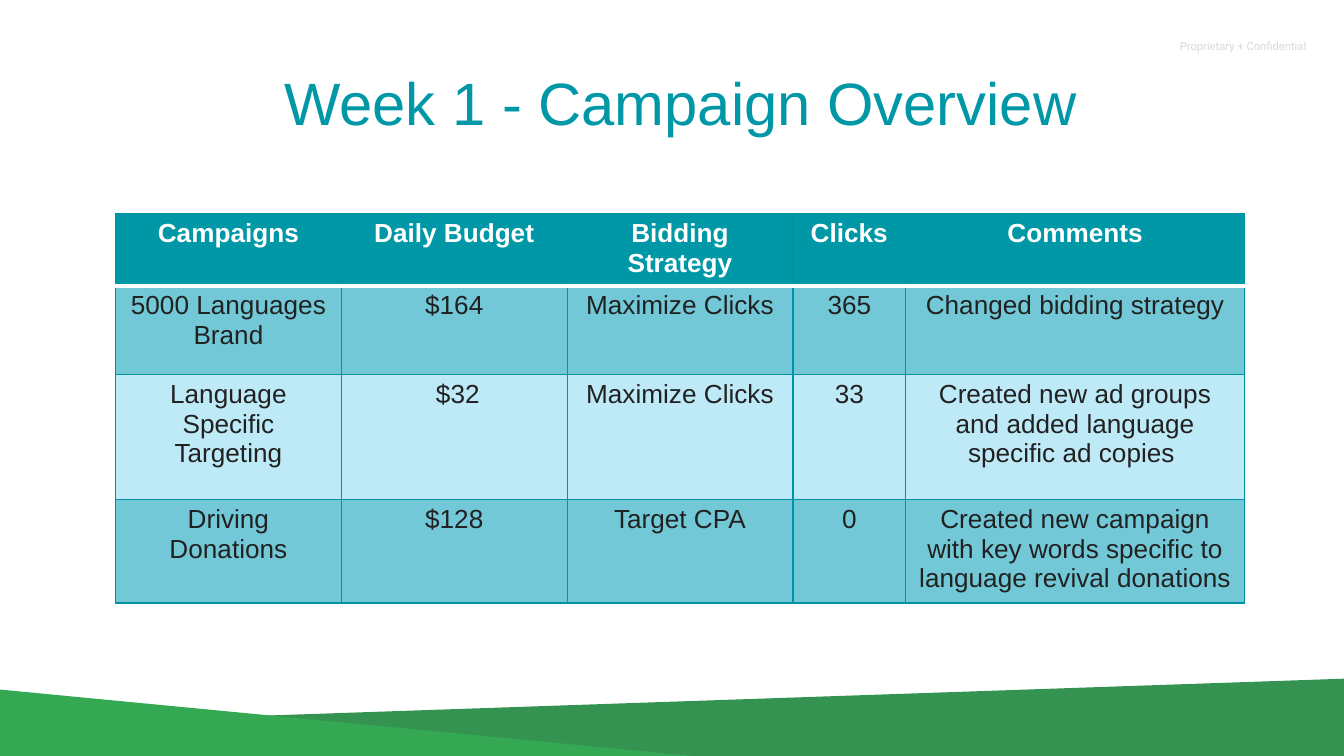
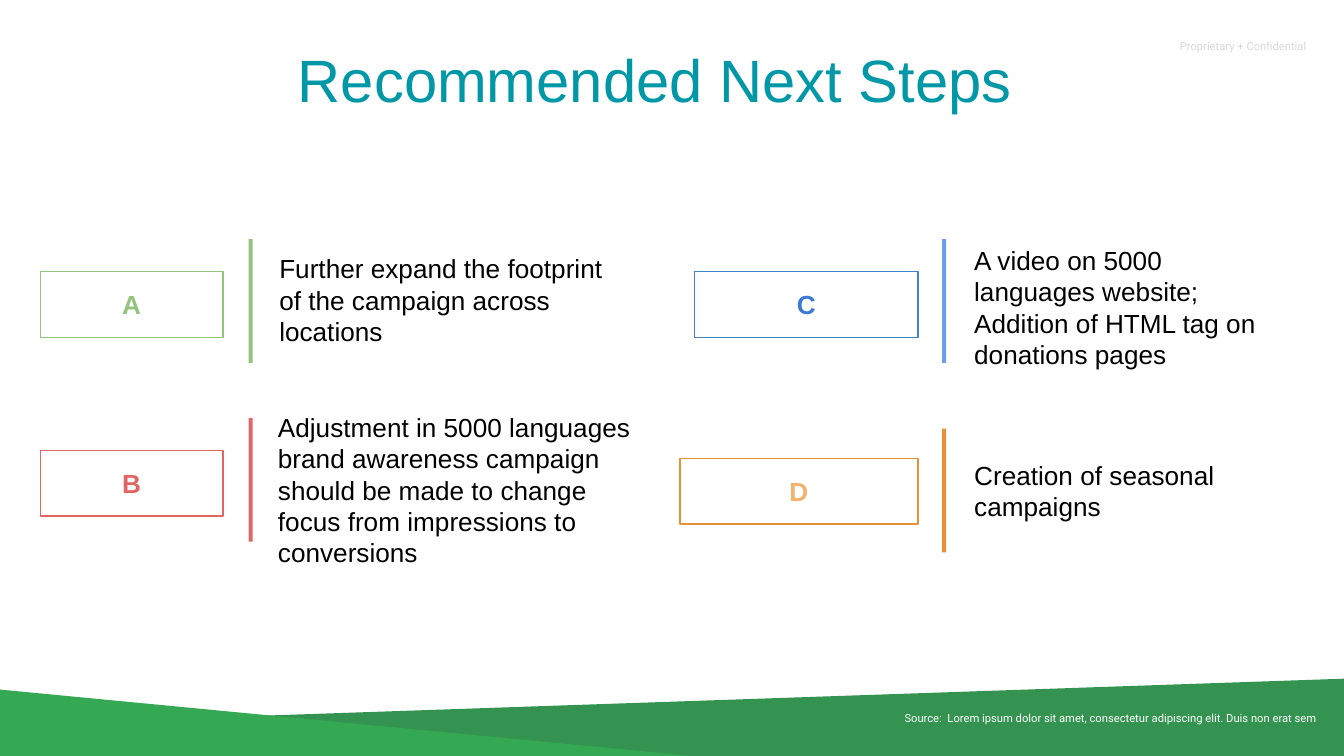
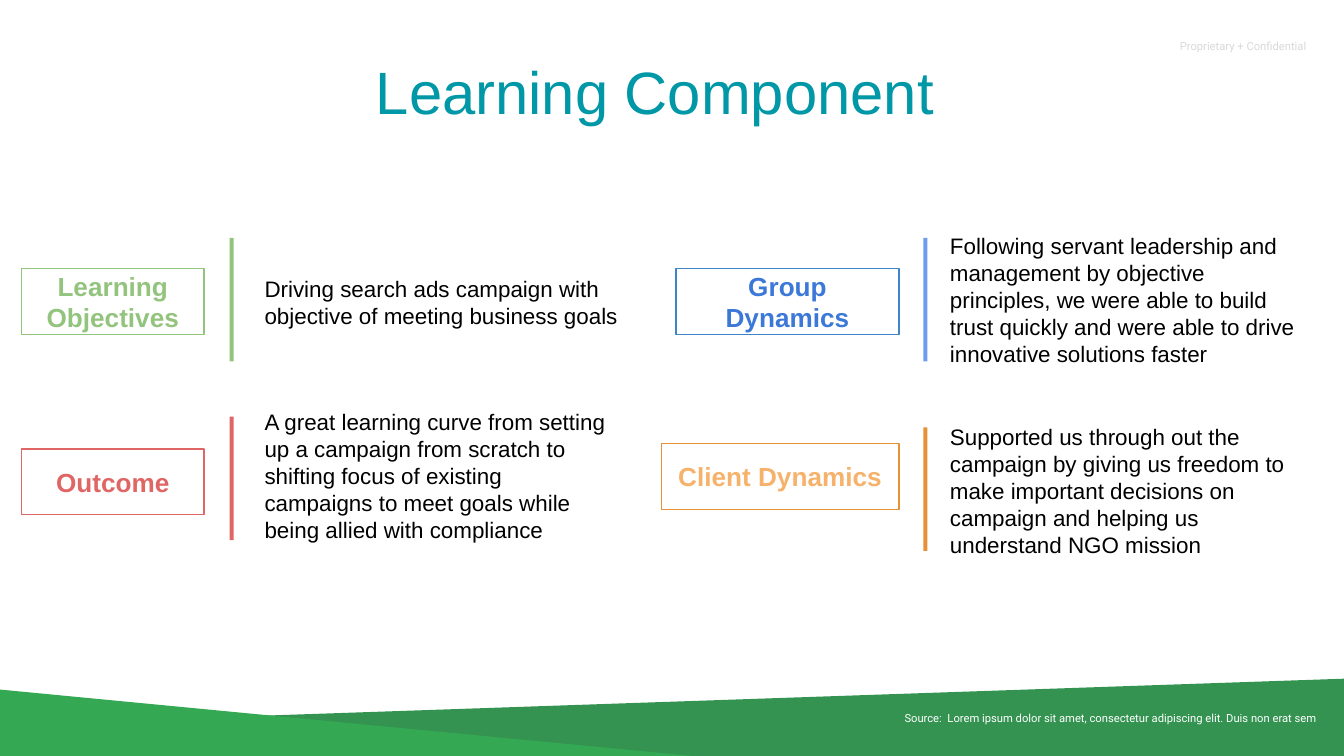
"""Build three campaign report slides: overview table, next steps and learnings."""
from dataclasses import dataclass

from lxml.etree import SubElement
from pptx import Presentation
from pptx.dml.color import RGBColor
from pptx.enum.shapes import MSO_SHAPE as Preset
from pptx.enum.text import MSO_ANCHOR as Anchor, PP_ALIGN as Align
from pptx.oxml.ns import qn
from pptx.util import Inches, Pt


@dataclass(frozen=True)
class Theme:
    teal: str = "0097A7"
    border: str = "0094A3"
    row_dark: str = "72C8D6"
    row_light: str = "BEE9F6"
    cell_text: str = "212121"
    band_back: str = "349351"
    band_front: str = "34A853"
    notice: str = "D9D9D9"
    white: str = "FFFFFF"
    black: str = "000000"
    green: str = "93C47D"
    red: str = "E06666"
    blue_line: str = "3D85C6"
    blue_text: str = "3C78D8"
    blue_bar: str = "6D9EEB"
    orange: str = "E69138"
    orange_text: str = "F6B26B"
    font: str = "Arial"
    small_font: str = "Roboto"
    title_size: int = 32
    text_size: int = 14
    compact_size: int = 12
    small_size: int = 6


theme = Theme()


def write(frame, text, size, color, align=Align.LEFT, bold=False, font=theme.font):
    frame.word_wrap = True
    frame.text = text
    paragraph = frame.paragraphs[0]
    paragraph.alignment = align
    run_font = paragraph.runs[0].font
    run_font.name, run_font.size, run_font.bold = font, Pt(size), bold
    run_font.color.rgb = RGBColor.from_string(color)


def add_text(slide, box, text, size, color, inset=0.1, **style):
    frame = slide.shapes.add_textbox(*map(Inches, box)).text_frame
    frame.margin_top = frame.margin_bottom = Inches(inset)
    write(frame, text, size, color, **style)


bands = [
    (theme.band_back, [(10.03, 5.65), (10.01, 5.05), (0.08, 5.39), (0.09, 5.62)]),
    (theme.band_front, [(5.2, 5.63), (-0.01, 5.13), (-0.01, 5.64)]),
]
titles = [
    ("Week 1 - Campaign Overview", 1.45, 0.39, 0.83),
    ("Recommended Next Steps", 1.26, 0.22, 0.83),
    ("Learning Component", 1.26, 0.31, 0.77),
]

deck = Presentation()
deck.slide_width = Inches(10)
deck.slide_height = deck.slide_width * 9 // 16
slides = []
for title, left, top, height in titles:
    slide = deck.slides.add_slide(deck.slide_layouts[6])
    slides.append(slide)
    for color, corners in bands:
        points = [(Inches(x), Inches(y)) for x, y in corners]
        outline = slide.shapes.build_freeform(*points[0])
        outline.add_line_segments(points[1:], close=True)
        band = outline.convert_to_shape()
        band.shadow.inherit = False
        band.fill.solid()
        band.fill.fore_color.rgb = RGBColor.from_string(color)
        band.line.fill.background()
    add_text(slide, (8.68, 0.24, 1.32, 0.33), "Proprietary + Confidential",
             theme.small_size, theme.notice, inset=0.15, font=theme.small_font)
    add_text(slide, (left, top, 7.23, height), title, theme.title_size, theme.teal, align=Align.CENTER)

campaigns = [
    ("Campaigns", "Daily Budget", "Bidding Strategy", "Clicks", "Comments"),
    ("5000 Languages Brand", "$164", "Maximize Clicks", "365", "Changed bidding strategy"),
    ("Language Specific Targeting", " $32", "Maximize Clicks", "33",
     "Created new ad groups and added language specific ad copies "),
    ("Driving Donations", "$128", "Target CPA", "0",
     "Created new campaign with key words specific to language revival donations"),
]
column_widths = [1.68, 1.68, 1.68, 0.84, 2.52]
row_heights = [0.47, 0.66, 0.93, 0.66]
row_fills = [theme.teal, theme.row_dark, theme.row_light, theme.row_dark]

overview = slides[0].shapes.add_table(
    len(campaigns), len(column_widths), Inches(0.86), Inches(1.59),
    Inches(8.41), Inches(2.95)).table
for column, width in zip(overview.columns, column_widths):
    column.width = Inches(width)
for r, values in enumerate(campaigns):
    overview.rows[r].height = Inches(row_heights[r])
    for c, value in enumerate(values):
        cell = overview.cell(r, c)
        cell.margin_top, cell.margin_bottom = Inches(0.04), Inches(0.03)
        write(cell.text_frame, value, theme.text_size, theme.cell_text if r else theme.white,
              align=Align.CENTER, bold=r == 0)
        properties = cell._tc.get_or_add_tcPr()
        for side in ("L", "R", "T", "B"):
            under_header = (r, side) in [(0, "B"), (1, "T")]
            color, points = (theme.white, 2) if under_header else (theme.border, 0.75)
            edge = SubElement(properties, qn(f"a:ln{side}"), w=str(Pt(points)))
            SubElement(SubElement(edge, qn("a:solidFill")), qn("a:srgbClr"), val=color)
        cell.fill.solid()
        cell.fill.fore_color.rgb = RGBColor.from_string(row_fills[r])

card_styles = [
    (0.3, 1.36, 1.85, 1.78, theme.green, theme.green, theme.green),
    (0.3, 1.36, 1.85, 3.11, theme.red, theme.red, theme.red),
    (5.17, 1.66, 7.01, 1.78, theme.blue_line, theme.blue_text, theme.blue_bar),
    (5.06, 1.77, 7.01, 3.19, theme.orange, theme.orange_text, theme.orange),
]
next_steps = [
    ("A", 2.02, (1.98, 1.83, 2.76, 0.81),
     "Further expand the footprint of the campaign across locations"),
    ("B", 3.35, (1.97, 3.01, 2.87, 1.28),
     "Adjustment in 5000 languages brand awareness campaign should be made to change focus "
     "from impressions to conversions"),
    ("C", 2.02, (7.15, 1.77, 2.49, 1.04),
     "A video on 5000 languages website; Addition of HTML tag on donations pages"),
    ("D", 3.41, (7.15, 3.37, 2.49, 0.57), "Creation of seasonal campaigns"),
]
learnings = [
    ("Learning Objectives", 2.0, (1.87, 2.0, 2.84, 0.5),
     "Driving search ads campaign with objective of meeting business goals"),
    ("Outcome", 3.34, (1.87, 2.99, 2.8, 1.11),
     "A great learning curve from setting up a campaign from scratch to shifting focus of "
     "existing campaigns to meet goals while being allied with compliance"),
    ("Group Dynamics", 2.0, (6.97, 1.68, 2.84, 1.11),
     "Following servant leadership and management by objective principles, we were able to "
     "build trust quickly and were able to drive innovative solutions faster"),
    ("Client Dynamics", 3.3, (6.97, 3.1, 2.84, 1.11),
     "Supported us through out the campaign by giving us freedom to make important decisions "
     "on campaign and helping us understand NGO mission"),
]
card_slides = [
    (slides[1], next_steps, theme.text_size, 0, 0),
    (slides[2], learnings, theme.compact_size, -0.14, -0.01),
]

for slide, cards, size, shift_x, shift_y in card_slides:
    add_text(slide, (5.14, 5.24, 4.75, 0.41),
             "Source:  Lorem ipsum dolor sit amet, consectetur adipiscing elit. Duis non erat sem",
             theme.small_size, theme.white, inset=0.15, align=Align.RIGHT, font=theme.small_font)
    for (heading, label_top, text_box, text), style in zip(cards, card_styles):
        label_left, label_width, bar_left, bar_top, line_color, label_color, bar_color = style
        label = slide.shapes.add_shape(
            Preset.RECTANGLE, Inches(label_left + shift_x), Inches(label_top),
            Inches(label_width), Inches(0.49))
        label.shadow.inherit = False
        label.fill.background()
        label.line.color.rgb = RGBColor.from_string(line_color)
        label.line.width = Pt(0.75)
        label.text_frame.margin_top = label.text_frame.margin_bottom = Inches(0.1)
        label.text_frame.vertical_anchor = Anchor.MIDDLE
        write(label.text_frame, heading, theme.text_size, label_color,
              align=Align.CENTER, bold=True)
        bar = slide.shapes.add_shape(
            Preset.RECTANGLE, Inches(bar_left + shift_x), Inches(bar_top + shift_y),
            Inches(0.03), Inches(0.92))
        bar.shadow.inherit = False
        bar.fill.solid()
        bar.fill.fore_color.rgb = RGBColor.from_string(bar_color)
        bar.line.fill.background()
        add_text(slide, text_box, text, size, theme.black, inset=0.05)

deck.save("out.pptx")
